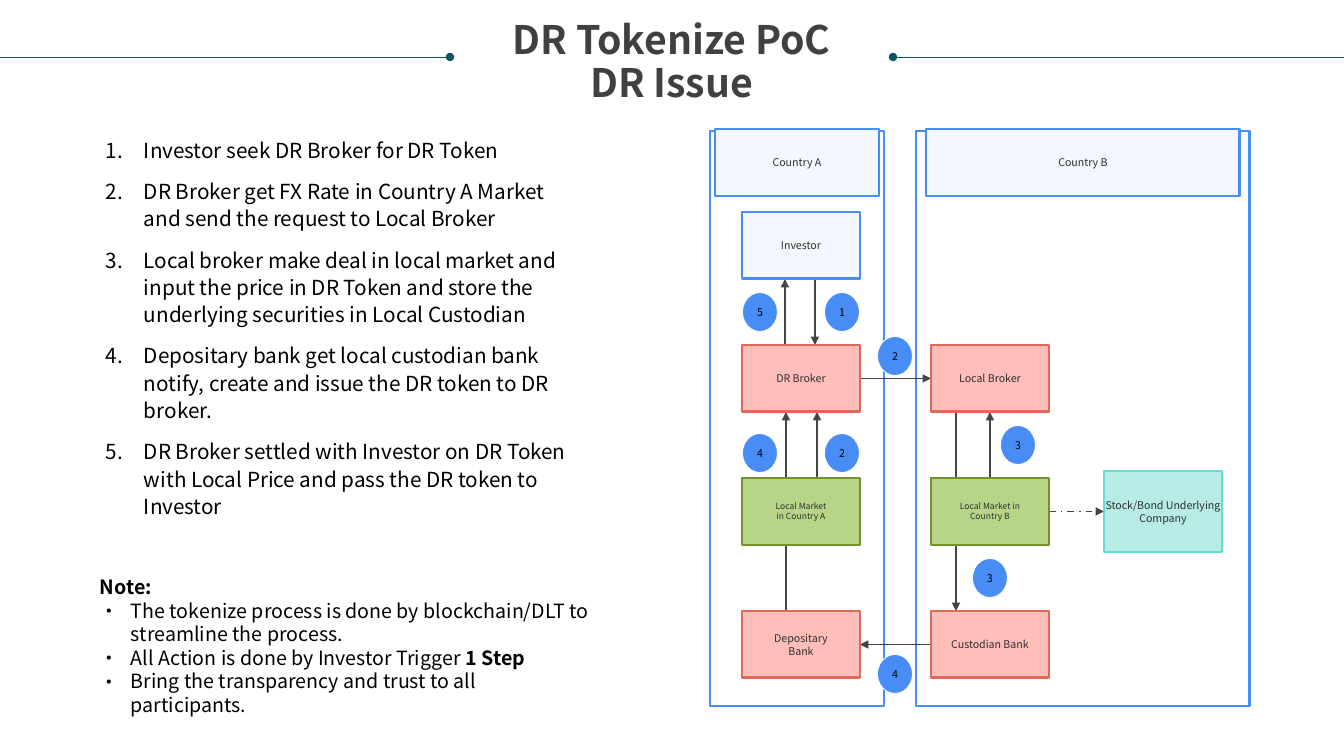
from lxml import etree
from pptx import Presentation
from pptx import util as u
from pptx.dml.color import RGBColor
from pptx.enum import dml, shapes, text
from pptx.oxml.ns import qn

SCALE = 914400 / 100.8
FONT = "Noto Sans CJK SC"
BLACK = RGBColor(0, 0, 0)
WHITE = RGBColor(255, 255, 255)
TITLE_GREY = RGBColor(0x40, 0x40, 0x40)
LABEL_GREY = RGBColor(0x30, 0x30, 0x30)
ARROW_GREY = RGBColor(0x45, 0x45, 0x45)
TEAL = RGBColor(0x08, 0x57, 0x64)
BLUE = RGBColor(0x48, 0x8D, 0xF5)
PALE_BLUE = (RGBColor(0xF4, 0xF7, 0xFE), BLUE)
RED = (RGBColor(0xFF, 0xBE, 0xB9), RGBColor(0xE1, 0x69, 0x5C))
GREEN = (RGBColor(0xB7, 0xD5, 0x87), RGBColor(0x73, 0x92, 0x2E))
MINT = (RGBColor(0xB7, 0xEB, 0xE5), RGBColor(0x63, 0xDC, 0xD2))


def px(value):
    return u.Emu(round(value * SCALE))


def apply(target, values):
    for name, value in values.items():
        setattr(target, name, value)


class Page:
    def __init__(self, slide):
        self.slide = slide

    def paragraphs(self, frame, contents, size, color, bold=False, margins=(0, 0), **layout):
        apply(frame, dict(word_wrap=True, auto_size=text.MSO_AUTO_SIZE.NONE,
                          margin_left=px(margins[0]), margin_right=px(margins[0]),
                          margin_top=px(margins[1]), margin_bottom=px(margins[1])))
        for index, content in enumerate(contents):
            para = frame.paragraphs[0] if index == 0 else frame.add_paragraph()
            apply(para, layout)
            spans = [(content, bold)] if isinstance(content, str) else content
            for words, heavy in spans:
                span = para.add_run()
                span.text = words
                apply(span.font, dict(name=FONT, size=u.Pt(size), bold=heavy))
                span.font.color.rgb = color

    def title(self, x, y, width, height, lines):
        box = self.slide.shapes.title
        apply(box, dict(left=px(x), top=px(y), width=px(width), height=px(height)))
        box.text_frame.vertical_anchor = text.MSO_ANCHOR.TOP
        self.paragraphs(box.text_frame, lines, 28, TITLE_GREY, True,
                        alignment=text.PP_ALIGN.CENTER, line_spacing=0.9)

    def text(self, x, y, width, height, contents, size, **layout):
        box = self.slide.shapes.add_textbox(px(x), px(y), px(width), px(height))
        self.paragraphs(box.text_frame, contents, size, BLACK, margins=(10, 5), **layout)
        return box.text_frame.paragraphs

    def bullets(self, paragraphs, indent, tag, **attributes):
        for para in paragraphs:
            properties = para._p.get_or_add_pPr()
            properties.set("marL", str(px(indent)))
            properties.set("indent", str(-px(indent)))
            etree.SubElement(properties, qn("a:buFont"), typeface=FONT)
            etree.SubElement(properties, qn(tag), **attributes)

    def shape(self, kind, x, y, width, height, fill, line, weight):
        box = self.slide.shapes.add_shape(kind, px(x), px(y), px(width), px(height))
        box.shadow.inherit = False
        if fill is None:
            box.fill.background()
        else:
            box.fill.solid()
            box.fill.fore_color.rgb = fill
        box.line.color.rgb = line
        box.line.width = u.Pt(weight)
        return box

    def label(self, box, lines, size, color):
        box.text_frame.vertical_anchor = text.MSO_ANCHOR.MIDDLE
        self.paragraphs(box.text_frame, lines, size, color, alignment=text.PP_ALIGN.CENTER)

    def frame(self, x, y, width, height):
        self.shape(shapes.MSO_SHAPE.RECTANGLE, x, y, width, height, None, BLUE, 2)

    def node(self, x, y, width, height, lines, style, size=7.6):
        box = self.shape(shapes.MSO_SHAPE.RECTANGLE, x, y, width, height, *style, 2)
        self.label(box, lines, size, LABEL_GREY)

    def step(self, center_x, center_y, number):
        width, height = 35, 39
        box = self.shape(shapes.MSO_SHAPE.OVAL, center_x - width / 2, center_y - height / 2,
                         width, height, BLUE, WHITE, 0.6)
        self.label(box, [str(number)], 7.6, BLACK)

    def arrow(self, x1, y1, x2, y2, color=ARROW_GREY, weight=1.2, tip="triangle", dash=None):
        line = self.slide.shapes.add_connector(
            shapes.MSO_CONNECTOR.STRAIGHT, px(x1), px(y1), px(x2), px(y2))
        line.line.color.rgb = color
        line.line.width = u.Pt(weight)
        if dash is not None:
            line.line.dash_style = dash
        properties = line._element.spPr
        etree.SubElement(properties.find(qn("a:ln")), qn("a:tailEnd"), type=tip)
        etree.SubElement(properties, qn("a:effectLst"))


deck = Presentation()
deck.slide_width, deck.slide_height = px(1344), px(756)
page = Page(deck.slides.add_slide(deck.slide_layouts[5]))

page.title(25, 21, 1293, 86, ["DR Tokenize PoC", "DR Issue"])
for edge, dot in ((0, 450), (1344, 893)):
    page.arrow(edge, 57, dot, 57, TEAL, 0.5, "oval")

steps = page.text(96, 130, 497, 409, [
    "Investor seek DR Broker for DR Token",
    "DR Broker get FX Rate in Country A Market and send the request to Local Broker",
    "Local broker make deal in local market and input the price in DR Token and store "
    "the underlying securities in Local Custodian",
    "Depositary bank get local custodian bank notify, create and issue the DR token to DR broker.",
    "DR Broker settled with Investor on DR Token with Local Price and pass the DR token to Investor",
], 14.8, line_spacing=1.1, space_before=u.Pt(10))
page.bullets(steps, 38, "a:buAutoNum", type="arabicPeriod")

notes = page.text(90, 570, 514, 152, [
    [("Note:", True)],
    "The tokenize process is done by blockchain/DLT to streamline the process.",
    [("All Action is done by Investor Trigger ", False), ("1 Step", True)],
    "Bring the transparency and trust to all participants.",
], 14)
page.bullets(notes[1:], 31, "a:buChar", char="•")

NODE_W, NODE_H, PITCH = 118, 67, 133
COL_A, COL_B, STOCK_X = 742, 931, 1104
ROWS = [212 + PITCH * row for row in range(4)]
INVESTOR, BROKER, MARKET, BANK = ROWS
RIGHT_A, RIGHT_B = COL_A + NODE_W, COL_B + NODE_W
MIDDLE = NODE_H / 2

for name, x, width, inset in (("Country A", 710, 174, 5), ("Country B", 916, 334, 10)):
    page.frame(x, 131, width, 575)
    page.node(x + inset, 129, width - 2 * inset, NODE_H, [name], PALE_BLUE)

for route in (
        (815, INVESTOR + NODE_H, 815, BROKER),
        (785, BROKER, 785, INVESTOR + NODE_H),
        (817, MARKET, 817, BROKER + NODE_H),
        (786, BANK, 786, BROKER + NODE_H),
        (956, BROKER + NODE_H, 956, BANK),
        (990, MARKET, 990, BROKER + NODE_H),
        (RIGHT_A, BROKER + MIDDLE, COL_B, BROKER + MIDDLE),
        (COL_B, BANK + MIDDLE, RIGHT_A, BANK + MIDDLE)):
    page.arrow(*route)
page.arrow(RIGHT_B, MARKET + MIDDLE, STOCK_X, MARKET + MIDDLE, dash=dml.MSO_LINE.DASH_DOT)

for x, y, lines, style, size in (
        (COL_A, INVESTOR, ["Investor"], PALE_BLUE, 7.6),
        (COL_A, BROKER, ["DR Broker"], RED, 7.6),
        (COL_A, MARKET, ["Local Market", "in Country A"], GREEN, 6.1),
        (COL_A, BANK, ["Depositary", "Bank"], RED, 7.6),
        (COL_B, BROKER, ["Local Broker"], RED, 7.6),
        (COL_B, MARKET, ["Local Market in", "Country B"], GREEN, 6.1),
        (COL_B, BANK, ["Custodian Bank"], RED, 7.6)):
    page.node(x, y, NODE_W, NODE_H, lines, style, size)
page.node(STOCK_X, 471, NODE_W, 81, ["Stock/Bond Underlying Company"], MINT)

for center_x, center_y, number in (
        (760, 312, 5), (842, 312, 1), (895, 356, 2), (760, 453, 4), (842, 453, 2),
        (1018, 445, 3), (990, 578, 3), (895, 674, 4)):
    page.step(center_x, center_y, number)

deck.save("out.pptx")
